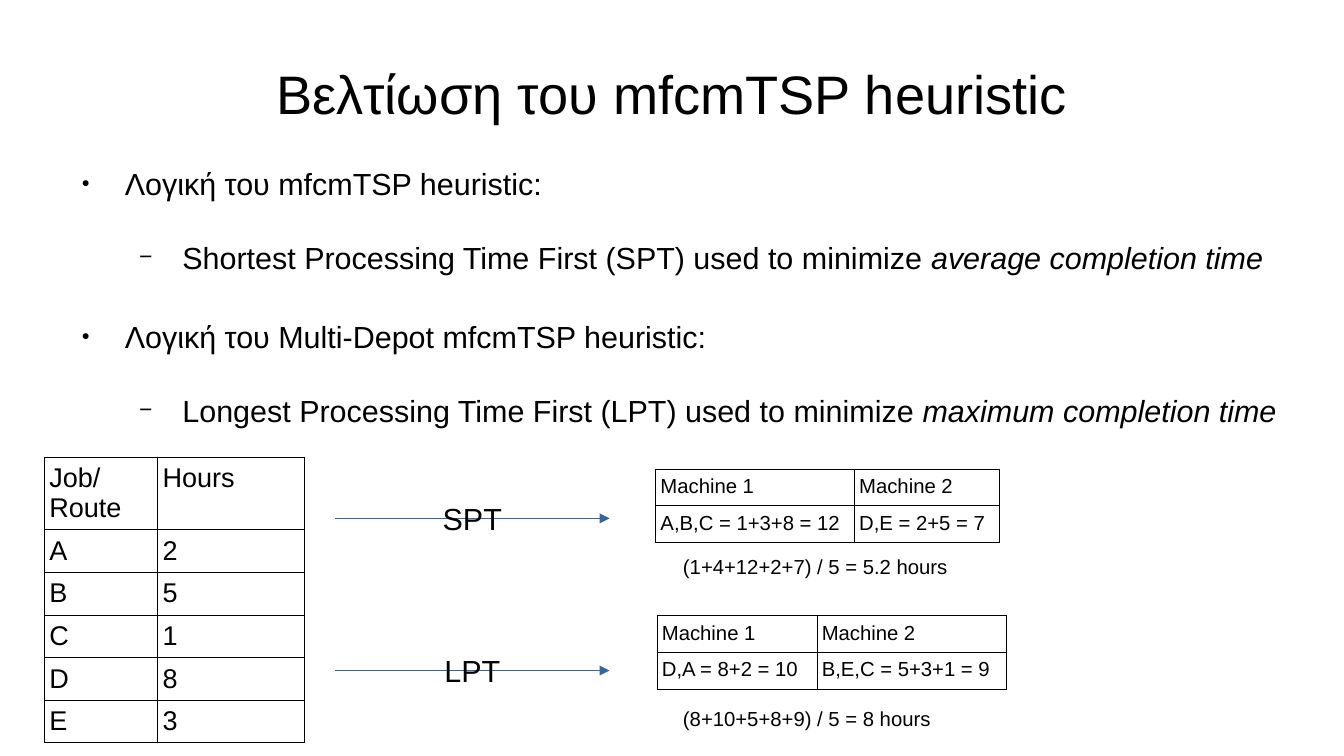
from lxml import etree
from pptx import Presentation
from pptx import util as u
from pptx.dml.color import RGBColor
from pptx.enum import shapes, text
from pptx.oxml.ns import qn

Cm, Pt = u.Cm, u.Pt
INK, BLUE = "000000", "3465A4"


def paint(hue):
    return RGBColor.from_string(hue)


def sub(node, tag, **attrs):
    return etree.SubElement(node, qn("a:" + tag), attrs)


def write(par, words, size, slant=False):
    run = par.add_run()
    run.text = words
    font = run.font
    font.name, font.size = "Arial", Pt(size)
    font.bold, font.italic = False, slant
    font.color.rgb = paint(INK)


def place(shape, box):
    shape.left, shape.top, shape.width, shape.height = [Cm(n) for n in box]


def inset(frame, side, edge):
    frame.margin_left = frame.margin_right = Cm(side)
    frame.margin_top = frame.margin_bottom = Cm(edge)


def head(slide, box, words):
    shape = slide.shapes.title
    place(shape, box)
    frame = shape.text_frame
    inset(frame, 0, 0)
    frame.vertical_anchor = text.MSO_ANCHOR.MIDDLE
    par = frame.paragraphs[0]
    par.alignment = text.PP_ALIGN.CENTER
    write(par, words, 32)


def bullet(par, level):
    mark, scale, left = [("●", 45000, 1.2), ("−", 75000, 2.4)][level]
    par.level = level
    props = par._p.get_or_add_pPr()
    props.set("marL", str(Cm(left)))
    props.set("indent", str(Cm(-0.9)))
    sub(sub(props, "buClr"), "srgbClr", val=INK)
    sub(props, "buSzPct", val=str(scale))
    sub(props, "buFont", typeface="Arial")
    sub(props, "buChar", char=mark)


def body(slide, box, items):
    shape = slide.placeholders[1]
    place(shape, box)
    frame = shape.text_frame
    inset(frame, 0, 0)
    frame.auto_size = text.MSO_AUTO_SIZE.NONE
    for i, (level, plain, slant) in enumerate(items):
        par = frame.add_paragraph() if i else frame.paragraphs[0]
        bullet(par, level)
        par.line_spacing = 1.5
        par.space_before = Pt((14.2, 11.3)[level] if i else 0)
        write(par, plain, 18)
        if slant:
            write(par, slant, 18, True)


def border(cell):
    props = cell._tc.get_or_add_tcPr()
    for tag in ("lnL", "lnR", "lnT", "lnB"):
        line = sub(props, tag, w=str(Pt(0.57)))
        sub(sub(line, "solidFill"), "srgbClr", val=INK)


def grid(slide, left, top, cols, rows, data, size):
    frame = slide.shapes.add_table(len(rows), len(cols), Cm(left), Cm(top),
                                   Cm(sum(cols)), Cm(sum(rows)))
    table = frame.table
    table.first_row = table.horz_banding = False
    for col, width in zip(table.columns, cols):
        col.width = Cm(width)
    for row, high, words in zip(table.rows, rows, data):
        row.height = Cm(high)
        for cell, word in zip(row.cells, words):
            inset(cell, 0.1, 0.13)
            border(cell)
            cell.fill.background()
            write(cell.text_frame.paragraphs[0], word, size)


def label(slide, box, words, size, mid=False):
    shape = slide.shapes.add_textbox(*[Cm(n) for n in box])
    frame = shape.text_frame
    frame.word_wrap = True
    inset(frame, 0.25, 0.13)
    par = frame.paragraphs[0]
    if mid:
        frame.vertical_anchor = text.MSO_ANCHOR.MIDDLE
        par.alignment = text.PP_ALIGN.CENTER
    write(par, words, size)


def arrow(slide, left, top, width):
    link = slide.shapes.add_connector(shapes.MSO_CONNECTOR.STRAIGHT, Cm(left),
                                      Cm(top), Cm(left + width), Cm(top))
    link.line.color.rgb = paint(BLUE)
    link.line.width = Pt(0.01)
    sub(link.line._get_or_add_ln(), "tailEnd", type="triangle")
    sub(link._element.spPr, "effectLst")


def plan(slide, box, rule, start, cols, jobs, total):
    left, top, width, high = box
    mid = top + high / 2
    arrow(slide, left, mid, width)
    label(slide, box, rule, 18, True)
    grid(slide, left + start[0], mid - start[1], cols, [0.76, 0.76],
         [("Machine 1", "Machine 2"), jobs], 12)
    label(slide, (left + 7, mid + 0.62, 7, 0.74), total, 12)


def main():
    deck = Presentation()
    deck.slide_width, deck.slide_height = Cm(28), Cm(15.75)
    slide = deck.slides.add_slide(deck.slide_layouts[1])
    head(slide, (1.4, 0.62, 25.2, 2.64), "Βελτίωση του mfcmTSP heuristic")
    body(slide, (1.4, 3.05, 25.2, 11.56), [
        (0, "Λογική του mfcmTSP heuristic:", ""),
        (1, "Shortest Processing Time First (SPT) used to minimize ",
         "average completion time"),
        (0, "Λογική του Multi-Depot mfcmTSP heuristic:", ""),
        (1, "Longest Processing Time First (LPT) used to minimize ",
         "maximum completion time"),
    ])
    hours = [("Job/Route", "Hours"), *zip("ABCDE", "25183")]
    grid(slide, 0.93, 9.52, [2.36, 3.06], [1.5] + [0.87] * 5, hours, 16)
    plan(slide, (6.98, 10.3, 5.72, 1), "SPT", (6.68, 1.03), [4.14, 3.02],
         ("A,B,C = 1+3+8 = 12", "D,E = 2+5 = 7"),
         "(1+4+12+2+7) / 5 = 5.2 hours")
    plan(slide, (6.98, 13.47, 5.72, 1), "LPT", (6.71, 1.15), [3.33, 3.94],
         ("D,A = 8+2 = 10", "B,E,C = 5+3+1 = 9"),
         "(8+10+5+8+9) / 5 = 8 hours")
    deck.save("out.pptx")


if __name__ == "__main__":
    main()
